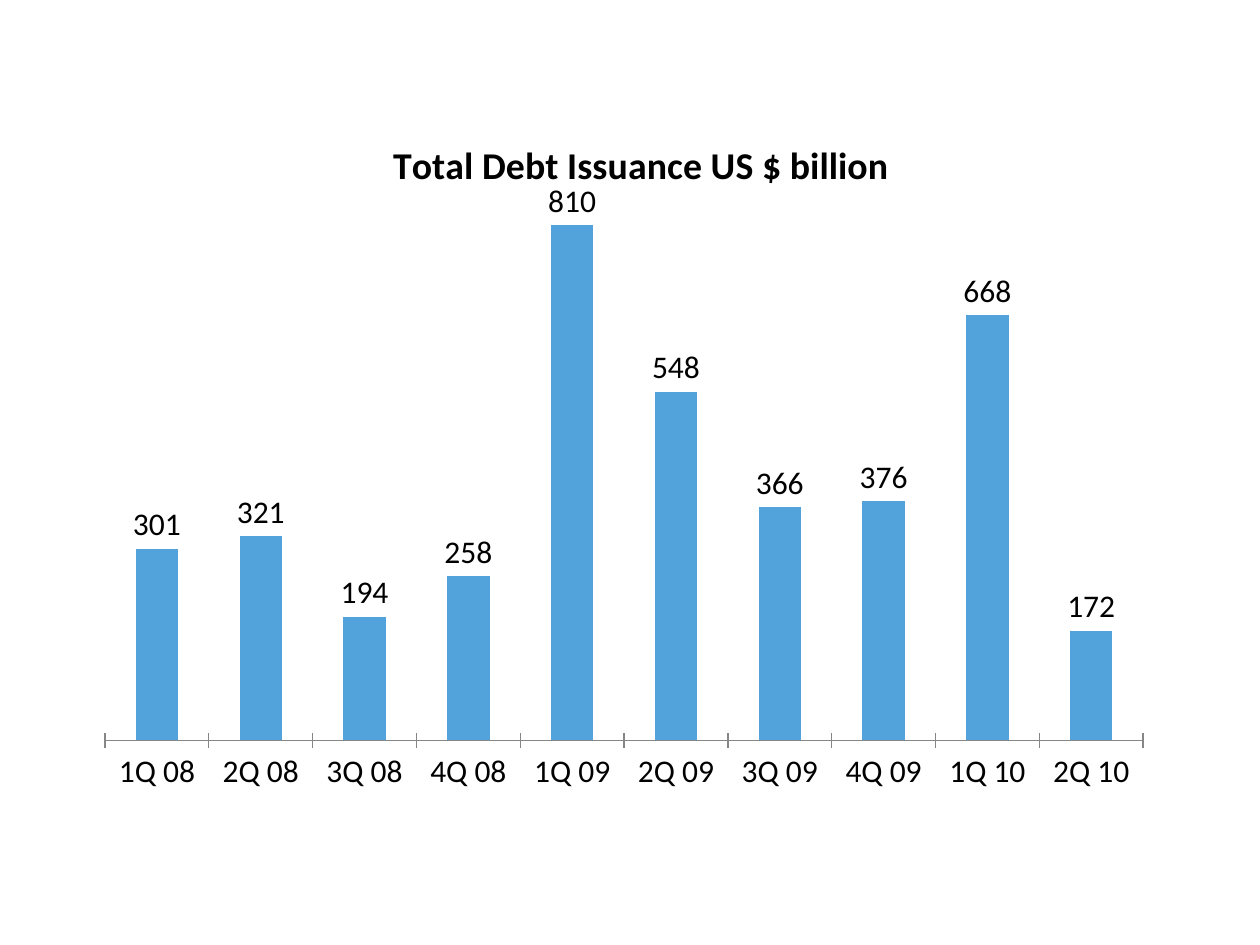
from dataclasses import dataclass

from lxml import etree
from pptx import Presentation
from pptx.chart.data import CategoryChartData
from pptx.dml.color import RGBColor
from pptx.enum.chart import XL_CHART_TYPE, XL_LABEL_POSITION, XL_TICK_MARK
from pptx.oxml.ns import qn
from pptx.util import Cm, Pt

COLUMNS = XL_CHART_TYPE.COLUMN_CLUSTERED
OUTSIDE_END = XL_LABEL_POSITION.OUTSIDE_END
CROSS = XL_TICK_MARK.CROSS


@dataclass(frozen=True)
class Theme:
    font: str = "Calibri"
    text: RGBColor = RGBColor(0x00, 0x00, 0x00)
    bar: RGBColor = RGBColor(0x52, 0xA3, 0xDC)
    axis: RGBColor = RGBColor(0x86, 0x86, 0x86)
    body_size: Pt = Pt(18)
    title_size: Pt = Pt(21.6)


def style_font(font, size, bold=False):
    font.name = theme.font
    font.size = size
    font.bold = bold
    font.color.rgb = theme.text


def set_layout(layout, settings):
    for child in list(layout):
        layout.remove(child)
    manual = etree.SubElement(layout, qn("c:manualLayout"))
    for name, value in settings.items():
        etree.SubElement(manual, qn(f"c:{name}")).set("val", str(value))


theme = Theme()
presentation = Presentation()
presentation.slide_width = Cm(25.4)
presentation.slide_height = Cm(19.05)
slide = presentation.slides.add_slide(presentation.slide_layouts[6])

issuance = CategoryChartData(number_format="#,##0")
issuance.categories = [
    "1Q 08", "2Q 08", "3Q 08", "4Q 08", "1Q 09",
    "2Q 09", "3Q 09", "4Q 09", "1Q 10", "2Q 10",
]
issuance.add_series("Series 1", [301, 321, 194, 258, 810, 548, 366, 376, 668, 172])

chart = slide.shapes.add_chart(
    COLUMNS, Cm(1.9), Cm(1.9), Cm(21.8), Cm(14.8), issuance
).chart
style_font(chart.font, theme.body_size)
chart.has_legend = False

chart.has_title = True
title = chart.chart_title
title.include_in_layout = False
title.text_frame.text = "Total Debt Issuance US $ billion"
style_font(title.text_frame.paragraphs[0].runs[0].font, theme.title_size, bold=True)

category_axis = chart.category_axis
category_axis.major_tick_mark = CROSS
category_axis.format.line.color.rgb = theme.axis
category_axis.format.line.width = Pt(0.75)

value_axis = chart.value_axis
value_axis.visible = False
value_axis.has_major_gridlines = False
value_axis.minimum_scale = 0
value_axis.maximum_scale = 900
value_axis.tick_labels.number_format = "#,##0"
value_axis.tick_labels.number_format_is_linked = False

plot = chart.plots[0]
plot.vary_by_categories = False
plot.gap_width = 145
series = plot.series[0]
series.format.fill.solid()
series.format.fill.fore_color.rgb = theme.bar

labels = series.data_labels
labels.show_value = True
labels.number_format = "#,##0"
labels.number_format_is_linked = False
labels.position = OUTSIDE_END
style_font(labels.font, theme.body_size)

title_layout = title._element.get_or_add_layout() if hasattr(
    title._element, "get_or_add_layout"
) else title._element.find(qn("c:layout"))
set_layout(title_layout, {"xMode": "edge", "yMode": "edge", "x": 0.27, "y": 0.05})

plot_area = plot._element.getparent()
plot_layout = plot_area.find(qn("c:layout"))
if plot_layout is None:
    plot_layout = etree.Element(qn("c:layout"))
    plot_area.insert(0, plot_layout)
set_layout(plot_layout, {
    "layoutTarget": "inner", "xMode": "edge", "yMode": "edge",
    "x": 0.01, "y": 0.1, "w": 0.96, "h": 0.78,
})

presentation.save("out.pptx")
